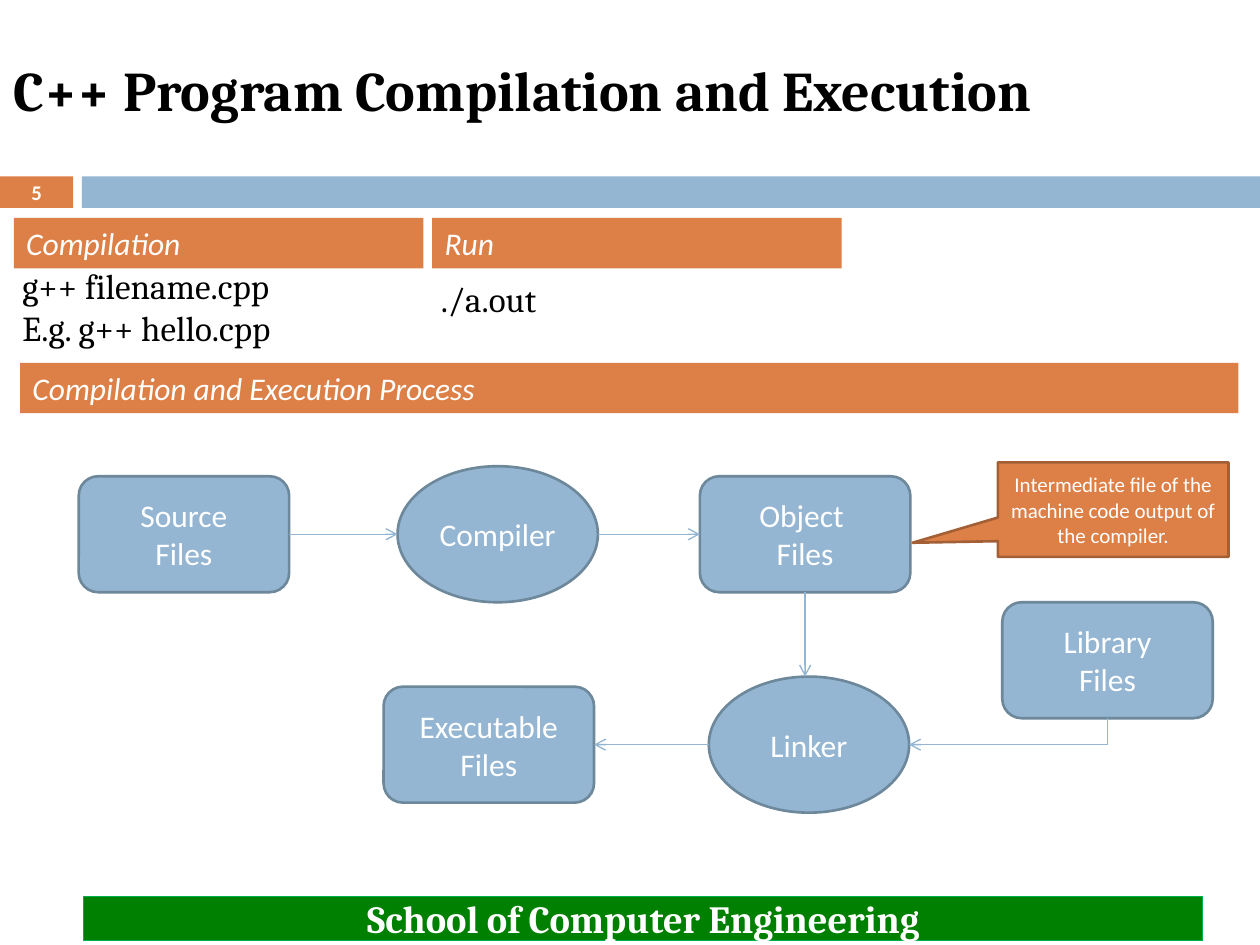
import lxml.etree
import pptx
import pptx.dml.color
import pptx.enum.shapes
import pptx.enum.text
import pptx.oxml.ns
import pptx.util

SHAPE = pptx.enum.shapes.MSO_SHAPE
CONNECTOR = pptx.enum.shapes.MSO_CONNECTOR
ALIGN = pptx.enum.text.PP_ALIGN
ANCHOR = pptx.enum.text.MSO_ANCHOR
AUTO_SIZE = pptx.enum.text.MSO_AUTO_SIZE
qn = pptx.oxml.ns.qn


class Theme:
    blue, blue_edge = "94B6D2", "6D879B"
    orange, orange_edge = "DD8047", "A35F35"
    green, green_edge = "008000", "00B050"
    white, black = "FFFFFF", "000000"
    body, serif = "Calibri", "Cambria"
    title, footer, command, label, note, number = 32, 22, 20, 18, 12, 11.9
    edge, thin_edge, arrow = 1.5, 0.75, 0.79


deck = pptx.Presentation()
deck.slide_width = pptx.util.Inches(10)
deck.slide_height = pptx.util.Inches(7.5)
page = deck.slides.add_slide(deck.slide_layouts[6])

# Grid of 100 columns by 75 rows
column = deck.slide_width / 100
row = deck.slide_height / 75


def rgb(color):
    return pptx.dml.color.RGBColor.from_string(color)


def add_box(area, lines=(), kind=None, fill=None, edge=None, width=Theme.edge,
            size=Theme.label, font=Theme.body, color=Theme.white, bold=False,
            italic=False, align=ALIGN.CENTER, anchor=ANCHOR.MIDDLE, grow=False):
    """Place a shape, or a text box when kind is None, on the grid."""
    left, top, wide, high = area
    place = [round(n) for n in (left * column, top * row, wide * column, high * row)]
    if kind is None:
        box = page.shapes.add_textbox(*place)
    else:
        box = page.shapes.add_shape(kind, *place)
        box.shadow.inherit = False
        box.fill.solid()
        box.fill.fore_color.rgb = rgb(fill)
        if edge:
            box.line.color.rgb = rgb(edge)
            box.line.width = pptx.util.Pt(width)
        else:
            box.line.fill.background()
    frame = box.text_frame
    frame.word_wrap = True
    frame.vertical_anchor = anchor
    frame.auto_size = AUTO_SIZE.SHAPE_TO_FIT_TEXT if grow else AUTO_SIZE.NONE
    for index, line in enumerate(lines):
        para = frame.add_paragraph() if index else frame.paragraphs[0]
        para.alignment = align
        span = para.add_run()
        span.text = line
        span.font.name = font
        span.font.size = pptx.util.Pt(size)
        span.font.bold = bold
        span.font.italic = italic
        span.font.color.rgb = rgb(color)
    return box


# Title and the band below it
add_box((0, 14, 5.8, 2.5), kind=SHAPE.RECTANGLE, fill=Theme.orange)
add_box((6.5, 14, 93.5, 2.5), kind=SHAPE.RECTANGLE, fill=Theme.blue)
add_box((0.1, 1.7, 96.7, 10.8), ["C++ Program Compilation and Execution"],
        size=Theme.title, font=Theme.serif, color=Theme.black, bold=True,
        align=ALIGN.LEFT)
add_box((0, 13.9, 5.8, 2.7), ["5"], size=Theme.number, bold=True)

# Footer
add_box((6.65, 71.15, 88.8, 3.5), ["School of Computer Engineering"],
        kind=SHAPE.RECTANGLE, fill=Theme.green, edge=Theme.green_edge,
        width=Theme.thin_edge, size=Theme.footer, font=Theme.serif, bold=True)

# Section headings
for left, top, wide, heading in (
    (1.1, 17.3, 32.5, "Compilation"),
    (34.3, 17.3, 32.5, "Run"),
    (1.6, 28.8, 96.7, "Compilation and Execution Process"),
):
    add_box((left, top, wide, 4), [heading], kind=SHAPE.RECTANGLE,
            fill=Theme.orange, italic=True, align=ALIGN.LEFT,
            anchor=ANCHOR.TOP, grow=True)

# Commands
for area, commands in (
    ((0.8, 20.5, 31, 7.7), ["g++ filename.cpp", "E.g. g++ hello.cpp"]),
    ((34, 21.5, 31, 4.4), ["./a.out"]),
):
    add_box(area, commands, size=Theme.command, font=Theme.serif,
            color=Theme.black, align=ALIGN.JUSTIFY, anchor=ANCHOR.TOP, grow=True)

# Process: files are rounded boxes, tools are ellipses, placed by their centres
file_size, tool_size = (16.7, 9.2), (15.9, 10.8)
upper, middle, lower = 42.4, 52.4, 59.1
nodes = {}
for name, lines, center, level in (
    ("source", ["Source", "Files"], 14.6, upper),
    ("compiler", ["Compiler"], 39.5, upper),
    ("object", ["Object ", "Files"], 63.9, upper),
    ("linker", ["Linker"], 64.2, lower),
    ("library", ["Library", "Files"], 87.9, middle),
    ("executable", ["Executable", "Files"], 38.8, lower),
):
    is_tool = len(lines) == 1
    wide, high = tool_size if is_tool else file_size
    nodes[name] = add_box(
        (center - wide / 2, level - high / 2, wide, high), lines,
        kind=SHAPE.OVAL if is_tool else SHAPE.ROUNDED_RECTANGLE,
        fill=Theme.blue, edge=Theme.blue_edge)
    # A tool's name stays on one line inside its ellipse
    nodes[name].text_frame.word_wrap = not is_tool

# Arrows: each runs from one side of a node to a side of the next
sides = {"top": (0.5, 0), "left": (0, 0.5), "bottom": (0.5, 1), "right": (1, 0.5)}
for start, start_side, end, end_side in (
    ("source", "right", "compiler", "left"),
    ("compiler", "right", "object", "left"),
    ("object", "bottom", "linker", "top"),
    ("library", "bottom", "linker", "right"),
    ("linker", "left", "executable", "right"),
):
    (x1, y1), (x2, y2) = [
        (round(nodes[name].left + nodes[name].width * sides[side][0]),
         round(nodes[name].top + nodes[name].height * sides[side][1]))
        for name, side in ((start, start_side), (end, end_side))]
    if end_side == "top":
        x2 = x1  # drop straight down
    if start == "library":
        # One corner, down then left: a box turned by a quarter about its centre
        mid_x, mid_y = (x1 + x2) // 2, (y1 + y2) // 2
        half_wide, half_high = (y2 - y1) // 2, (x1 - x2) // 2
        arrow = page.shapes.add_connector(
            CONNECTOR.ELBOW, mid_x - half_wide, mid_y - half_high,
            mid_x + half_wide, mid_y + half_high)
        properties = arrow._element.spPr
        properties.find(qn("a:xfrm")).set("rot", "5400000")
        properties.find(qn("a:prstGeom")).set("prst", "bentConnector2")
    else:
        arrow = page.shapes.add_connector(CONNECTOR.STRAIGHT, x1, y1, x2, y2)
        properties = arrow._element.spPr
    arrow.line.color.rgb = rgb(Theme.blue)
    arrow.line.width = pptx.util.Pt(Theme.arrow)
    lxml.etree.SubElement(properties.find(qn("a:ln")), qn("a:tailEnd"), type="arrow")
    lxml.etree.SubElement(properties, qn("a:effectLst"))

# Callout pointing at the object files
callout = add_box((79.2, 36.7, 18.3, 7.5),
                  ["Intermediate file of the machine code output of the compiler."],
                  kind=SHAPE.RECTANGULAR_CALLOUT, fill=Theme.orange,
                  edge=Theme.orange_edge, size=Theme.note)
callout.adjustments[0] = -0.87
callout.adjustments[1] = 0.35

deck.save("out.pptx")
